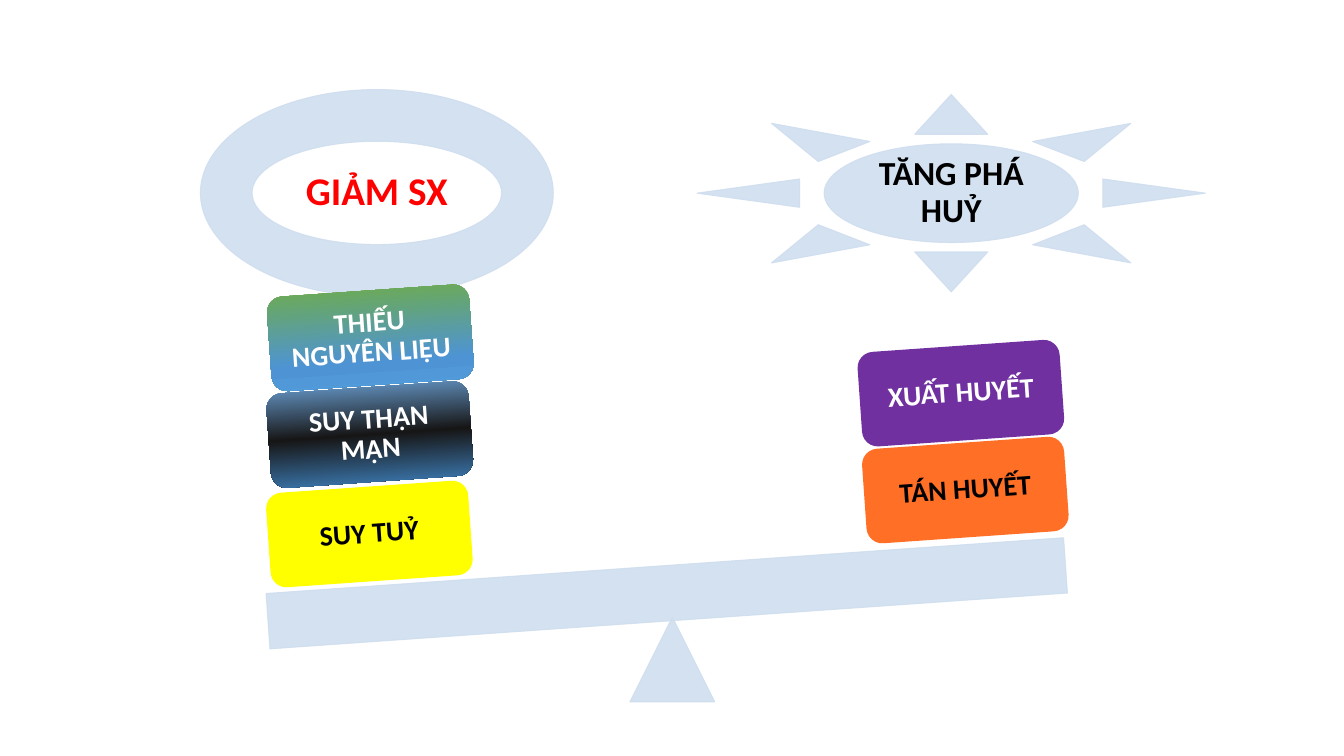
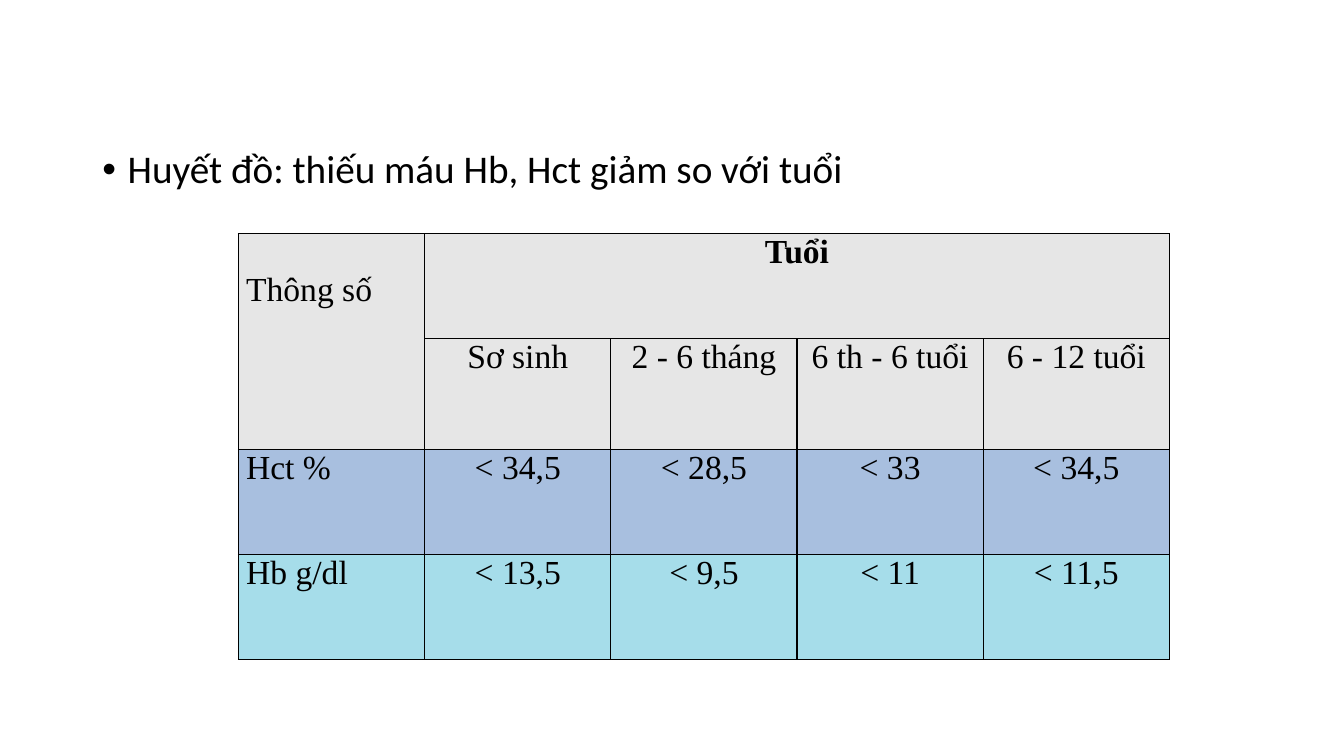
"""Build two slides on anaemia: a balance of causes and a table of thresholds by age."""
from dataclasses import dataclass

from lxml.etree import SubElement
from pptx import Presentation
from pptx.dml.color import RGBColor
from pptx.enum.shapes import MSO_SHAPE
from pptx.enum.text import MSO_ANCHOR, MSO_AUTO_SIZE, PP_ALIGN
from pptx.oxml import parse_xml
from pptx.oxml.ns import nsdecls, qn
from pptx.util import Pt


@dataclass(frozen=True)
class Theme:
    """Colours, fonts and type sizes shared by the slides."""
    pale: str = "CFDEEF"
    black: str = "000000"
    white: str = "FFFFFF"
    red: str = "FF0000"
    yellow: str = "FFFF00"
    orange: str = "FF6F26"
    purple: str = "7030A0"
    steel: tuple = ((0, "6EA5DA"), (50, "171616"), (100, "4188C8"))
    meadow: tuple = ((0, "70AD47"), (70, "4E94D4"), (95, "529BDA"), (100, "4188C8"))
    header: str = "E6E6E6"
    hematocrit: str = "A8BFDF"
    hemoglobin: str = "A6DDEA"
    sans: str = "Calibri"
    serif: str = "Times New Roman"
    large: int = 28
    medium: int = 24
    small: int = 20
    opacity: int = 90
    tilt: int = -4


THEME = Theme()


def write(frame, text, *, size, font=THEME.sans, color=THEME.black, bold=False,
          align=PP_ALIGN.LEFT, spacing=0.9):
    """Write one formatted paragraph into a text frame and return it."""
    para = frame.paragraphs[0]
    para.alignment = align
    para.line_spacing = spacing
    para.space_before = Pt(0)
    span = para.add_run()
    span.text = text
    span.font.name = font
    span.font.size = Pt(size)
    span.font.bold = bold
    span.font.color.rgb = RGBColor.from_string(color)
    return para


def add_figure(page, kind, left, top, width, height, rotation=0):
    """Add a preset shape without shadow, fill or line."""
    shape = page.shapes.add_shape(kind, Pt(left), Pt(top), Pt(width), Pt(height))
    shape.rotation = rotation
    shape.shadow.inherit = False
    shape.line.fill.background()
    return shape


def add_label(shape, text, inset, **style):
    """Centre a bold label inside a shape."""
    frame = shape.text_frame
    frame.word_wrap = True
    frame.vertical_anchor = MSO_ANCHOR.MIDDLE
    frame.margin_left = frame.margin_right = Pt(inset)
    frame.margin_top = frame.margin_bottom = Pt(inset)
    write(frame, text, bold=True, align=PP_ALIGN.CENTER, **style)


def add_pale_figure(page, kind, *bounds, rotation=0):
    """Add a slightly transparent pale shape."""
    shape = add_figure(page, kind, *bounds, rotation=rotation)
    pale = RGBColor.from_string(THEME.pale)
    shape.fill.solid()
    shape.fill.fore_color.rgb = pale
    shape.line.color.rgb = pale
    shape.line.width = Pt(0.75)
    for color in shape.element.spPr.iter(qn("a:srgbClr")):
        SubElement(color, qn("a:alpha"), val=str(THEME.opacity * 1000))
    return shape


def fill_gradient(shape, stops):
    """Fill a shape from top to bottom with (percent, colour) stops."""
    shape.fill.gradient()
    shape.fill.gradient_angle = 270
    stop_list = shape.element.spPr.find(".//" + qn("a:gsLst"))
    stop_list.clear()
    for percent, color in stops:
        stop = SubElement(stop_list, qn("a:gs"), pos=str(percent * 1000))
        SubElement(stop, qn("a:srgbClr"), val=color)


def add_weight(page, text, left, top, paint, color):
    """Add one tilted weight carrying a cause of anaemia."""
    shape = add_figure(page, MSO_SHAPE.ROUNDED_RECTANGLE, left, top, 144.7, 67.7,
                       rotation=THEME.tilt)
    if isinstance(paint, tuple):
        fill_gradient(shape, paint)
    else:
        shape.fill.solid()
        shape.fill.fore_color.rgb = RGBColor.from_string(paint)
    add_label(shape, text, 6, size=THEME.small, color=color)


def add_bullet(para, indent):
    """Give a paragraph a hanging round bullet."""
    properties = para._p.get_or_add_pPr()
    properties.set("marL", str(Pt(indent)))
    properties.set("indent", str(-Pt(indent)))
    SubElement(properties, qn("a:buFont"), typeface="Arial")
    SubElement(properties, qn("a:buChar"), char="•")


def border_cell(cell, color, width):
    """Draw the four borders of a table cell."""
    properties = cell._tc.get_or_add_tcPr()
    for index, side in enumerate(("lnL", "lnR", "lnT", "lnB")):
        properties.insert(index, parse_xml(
            f'<a:{side} {nsdecls("a")} w="{Pt(width)}"><a:solidFill>'
            f'<a:srgbClr val="{color}"/></a:solidFill></a:{side}>'))


def add_grid(page, rows, fills, left, top, column_width, heights):
    """Add a bordered table with one fill colour per row."""
    columns = len(rows[0])
    table = page.shapes.add_table(len(rows), columns, Pt(left), Pt(top),
                                  Pt(column_width * columns), Pt(sum(heights))).table
    table.first_row = table.horz_banding = False
    for column in table.columns:
        column.width = Pt(column_width)
    for row_index, (texts, fill, height) in enumerate(zip(rows, fills, heights)):
        table.rows[row_index].height = Pt(height)
        for column_index, text in enumerate(texts):
            cell = table.cell(row_index, column_index)
            cell.margin_left = cell.margin_right = Pt(5.4)
            cell.margin_top = cell.margin_bottom = Pt(0)
            cell.fill.solid()
            cell.fill.fore_color.rgb = RGBColor.from_string(fill)
            border_cell(cell, THEME.black, 1)
            if text:
                write(cell.text_frame, text, size=THEME.medium, font=THEME.serif,
                      bold=row_index == 0 and column_index > 0, spacing=1.0,
                      align=PP_ALIGN.CENTER if column_index else PP_ALIGN.JUSTIFY)
    return table


def build_balance(deck):
    """Build the slide with the tilted balance of causes."""
    page = deck.slides.add_slide(deck.slide_layouts[6])
    ring = add_pale_figure(page, MSO_SHAPE.DONUT, 143.2, 64, 252, 147.6)
    add_label(ring, "GIẢM SX", 9, size=THEME.large, color=THEME.red)
    sun = add_pale_figure(page, MSO_SHAPE.SUN, 498, 67.5, 363, 141)
    add_label(sun, "TĂNG PHÁ HUỶ", 7.5, size=THEME.medium)
    add_pale_figure(page, MSO_SHAPE.ISOSCELES_TRIANGLE, 450, 440.8, 60.5, 60.5)
    add_pale_figure(page, MSO_SHAPE.RECTANGLE, 190.8, 404, 571, 39.6, rotation=THEME.tilt)
    weights = (
        ("SUY TUỶ", 191.5, 347.6, THEME.yellow, THEME.black),
        ("SUY THẬN MẠN", 191.8, 276.6, THEME.steel, THEME.white),
        ("THIẾU NGUYÊN LIỆU", 192.2, 207.5, THEME.meadow, THEME.white),
        ("TÁN HUYẾT", 617.2, 316.2, THEME.orange, THEME.black),
        ("XUẤT HUYẾT", 614, 247, THEME.purple, THEME.white),
    )
    for weight in weights:
        add_weight(page, *weight)


def build_thresholds(deck):
    """Build the slide with the blood count thresholds by age."""
    page = deck.slides.add_slide(deck.slide_layouts[1])
    title = page.shapes.title.element
    title.getparent().remove(title)
    body = page.placeholders[1]
    body.left, body.top, body.width, body.height = Pt(66), Pt(103.5), Pt(828), Pt(383)
    frame = body.text_frame
    frame.word_wrap = True
    frame.auto_size = MSO_AUTO_SIZE.NONE
    frame.vertical_anchor = MSO_ANCHOR.TOP
    para = write(frame, "Huyết đồ: thiếu máu Hb, Hct giảm so với tuổi", size=THEME.large)
    add_bullet(para, 18)
    rows = (
        ("Thông số", "Tuổi", "", "", ""),
        ("", "Sơ sinh", "2 - 6 tháng", "6 th - 6 tuổi", "6 - 12 tuổi"),
        ("Hct %", "< 34,5", "< 28,5", "< 33", "< 34,5"),
        ("Hb g/dl", "< 13,5", "< 9,5", "< 11", "< 11,5"),
    )
    fills = (THEME.header, THEME.header, THEME.hematocrit, THEME.hemoglobin)
    table = add_grid(page, rows, fills, 170.4, 167, 133, (75, 79, 75, 75))
    table.cell(0, 0).merge(table.cell(1, 0))
    table.cell(0, 1).merge(table.cell(0, 4))
    table.cell(0, 0).margin_top = Pt(27)


def main():
    """Build and save the deck."""
    deck = Presentation()
    deck.slide_width, deck.slide_height = Pt(960), Pt(540)
    build_balance(deck)
    build_thresholds(deck)
    deck.save("out.pptx")


if __name__ == "__main__":
    main()
